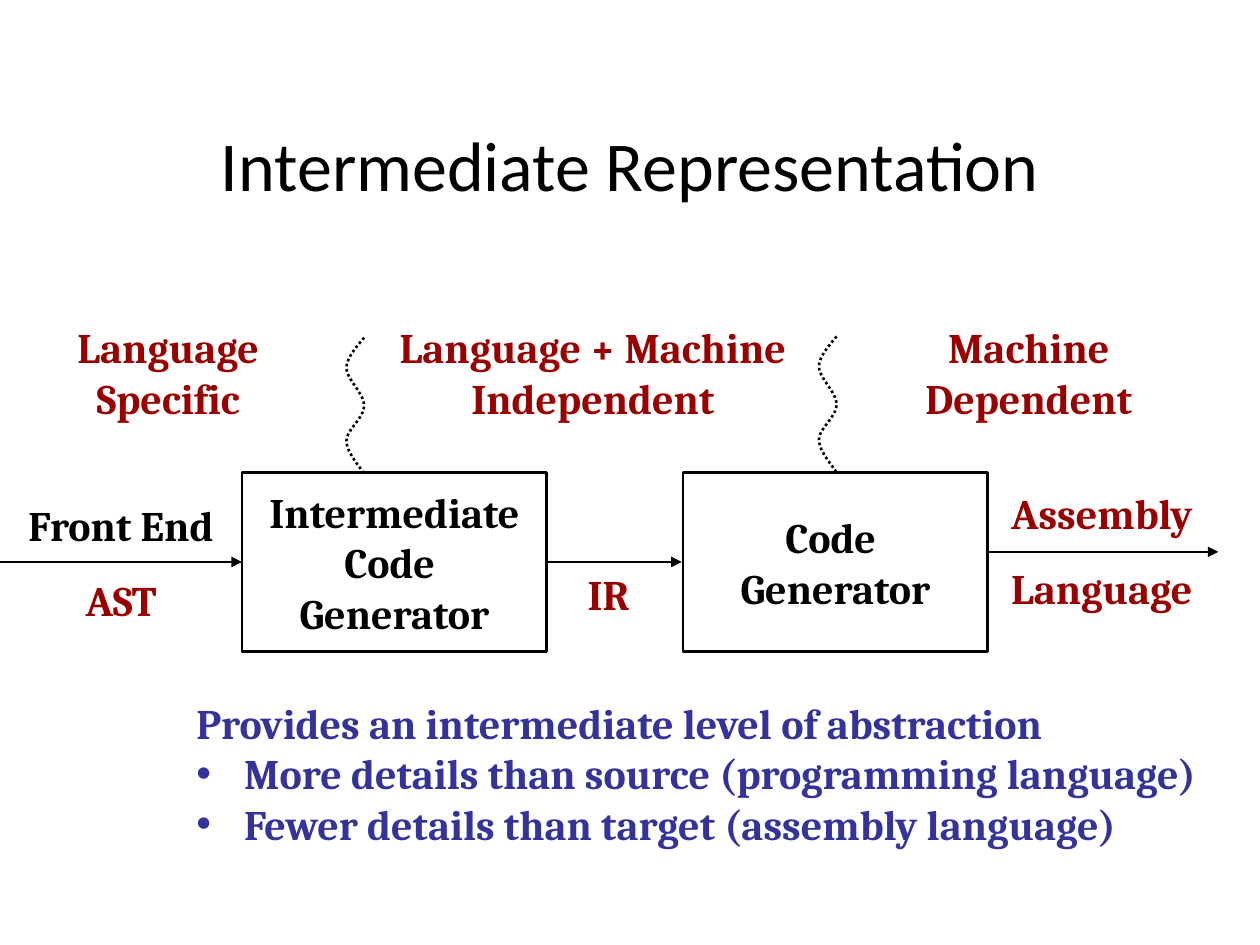
from lxml.etree import SubElement
from pptx import Presentation
from pptx.dml.color import RGBColor
from pptx.enum.dml import MSO_LINE
from pptx.enum.shapes import MSO_CONNECTOR, MSO_SHAPE
from pptx.enum.text import MSO_ANCHOR, PP_ALIGN
from pptx.oxml.ns import qn
from pptx.util import Inches, Pt

COLORS = {"black": "000000", "red": "990000", "blue": "333399"}
LABEL = {"name": "Cambria", "size": Pt(24), "bold": True}
TITLE = {"name": "Calibri", "size": Pt(40), "bold": False}
STAGE_TOP, STAGE_WIDTH, STAGE_HEIGHT = 3.75, 2.42, 1.42
WAVE_WIDTH = 0.14
CURVE_STEPS = 12
# Bezier points of one divider, relative to its top left corner
WAVE = [(0.14, 0), (0.11, 0.04), (0, 0.15), (0, 0.24),
        (0, 0.33), (0.14, 0.44), (0.14, 0.54),
        (0.14, 0.64), (0, 0.73), (0, 0.82),
        (0, 0.91), (0.11, 1.03), (0.14, 1.08)]


def rgb(color):
    return RGBColor.from_string(COLORS[color])


def style_line(line):
    line.color.rgb = rgb("black")
    line.width = Pt(1.5)


def add_bullet(paragraph):
    properties = paragraph._p.get_or_add_pPr()
    properties.set("marL", str(Inches(0.38)))
    properties.set("indent", str(-Inches(0.38)))
    SubElement(properties, qn("a:buFont")).set("typeface", "Arial")
    SubElement(properties, qn("a:buChar")).set("char", "•")


def write(shape, lines, colors, style=LABEL, align=PP_ALIGN.CENTER, gap=0, bullets_from=None):
    """Fill a shape with one paragraph per line; colors has one entry per line or one for all."""
    frame = shape.text_frame
    frame.word_wrap = True
    frame.vertical_anchor = MSO_ANCHOR.MIDDLE
    if align == PP_ALIGN.CENTER:
        frame.margin_left = frame.margin_right = 0
    if len(colors) == 1:
        colors = colors * len(lines)
    for index, (line, color) in enumerate(zip(lines, colors)):
        paragraph = frame.add_paragraph() if index else frame.paragraphs[0]
        paragraph.alignment = align
        if index and gap:
            paragraph.space_before = Pt(gap)
        if bullets_from is not None and index >= bullets_from:
            add_bullet(paragraph)
        run = paragraph.add_run()
        run.text = line
        for key, value in style.items():
            setattr(run.font, key, value)
        run.font.color.rgb = rgb(color)


def add_label(slide, box, lines, colors, **options):
    write(slide.shapes.add_textbox(*map(Inches, box)), lines, colors, **options)


def add_stage(slide, left, lines):
    box = (left, STAGE_TOP, STAGE_WIDTH, STAGE_HEIGHT)
    stage = slide.shapes.add_shape(MSO_SHAPE.RECTANGLE, *map(Inches, box))
    stage.shadow.inherit = False
    stage.fill.background()
    style_line(stage.line)
    write(stage, lines, ["black"])


def add_arrow(slide, start, end, y):
    arrow = slide.shapes.add_connector(
        MSO_CONNECTOR.STRAIGHT, Inches(start), Inches(y), Inches(end), Inches(y))
    style_line(arrow.line)
    SubElement(arrow.line._get_or_add_ln(), qn("a:tailEnd")).set("type", "triangle")
    SubElement(arrow._element.spPr, qn("a:effectLst"))


def bezier(points, t):
    weights = ((1 - t) ** 3, 3 * t * (1 - t) ** 2, 3 * t ** 2 * (1 - t), t ** 3)
    return [sum(w * p[axis] for w, p in zip(weights, points)) for axis in (0, 1)]


def add_divider(slide, left, top):
    curve = [bezier(WAVE[first:first + 4], step / CURVE_STEPS)
             for first in range(0, len(WAVE) - 1, 3)
             for step in range(1, CURVE_STEPS + 1)]
    builder = slide.shapes.build_freeform(Inches(left + WAVE_WIDTH), Inches(top))
    builder.add_line_segments(
        [(Inches(left + x), Inches(top + y)) for x, y in curve], close=False)
    divider = builder.convert_to_shape()
    divider.shadow.inherit = False
    divider.fill.background()
    style_line(divider.line)
    divider.line.dash_style = MSO_LINE.ROUND_DOT


def main():
    presentation = Presentation()
    presentation.slide_width, presentation.slide_height = Inches(10), Inches(7.5)
    slide = presentation.slides.add_slide(presentation.slide_layouts[6])

    add_label(slide, (0.75, 0.67, 8.5, 1.25), ["Intermediate Representation"],
              ["black"], style=TITLE)

    add_stage(slide, 1.92, ["Intermediate", "Code ", "Generator"])
    add_stage(slide, 5.42, ["Code ", "Generator"])
    for start, end, y in [(4.34, 5.41, 4.46), (0, 1.92, 4.46), (7.83, 9.67, 4.38)]:
        add_arrow(slide, start, end, y)

    add_label(slide, (0, 3.75, 1.92, 1.42), ["Front End", "AST"], ["black", "red"], gap=14)
    add_label(slide, (4.33, 4.42, 1, 0.58), ["IR"], ["red"])
    add_label(slide, (7.83, 3.83, 1.83, 1.08), ["Assembly", "Language"], ["red"], gap=14)

    for left, top in [(2.75, 2.68), (6.5, 2.67)]:
        add_divider(slide, left, top)
    for left, width, lines in [
        (3.08, 3.25, ["Language + Machine", "Independent"]),
        (7.08, 2.17, ["Machine", "Dependent"]),
        (0.25, 2.17, ["Language", "Specific"]),
    ]:
        add_label(slide, (left, 2.58, width, 0.75), lines, ["red"])

    add_label(slide, (1.46, 5.76, 8.4, 0.75), [
        "Provides an intermediate level of abstraction",
        "More details than source (programming language)",
        "Fewer details than target (assembly language)",
    ], ["blue"], align=PP_ALIGN.LEFT, bullets_from=1)

    presentation.save("out.pptx")


if __name__ == "__main__":
    main()
